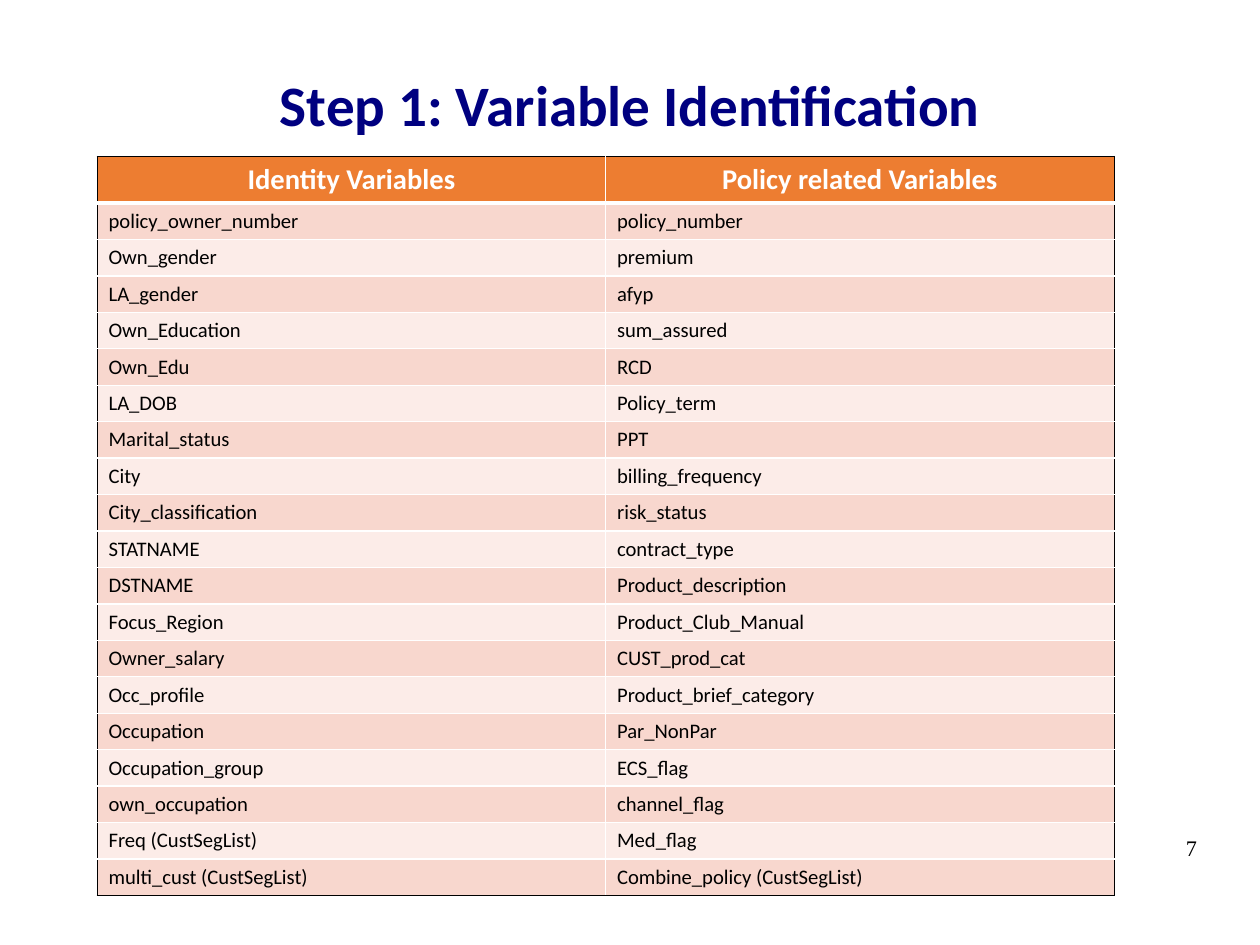
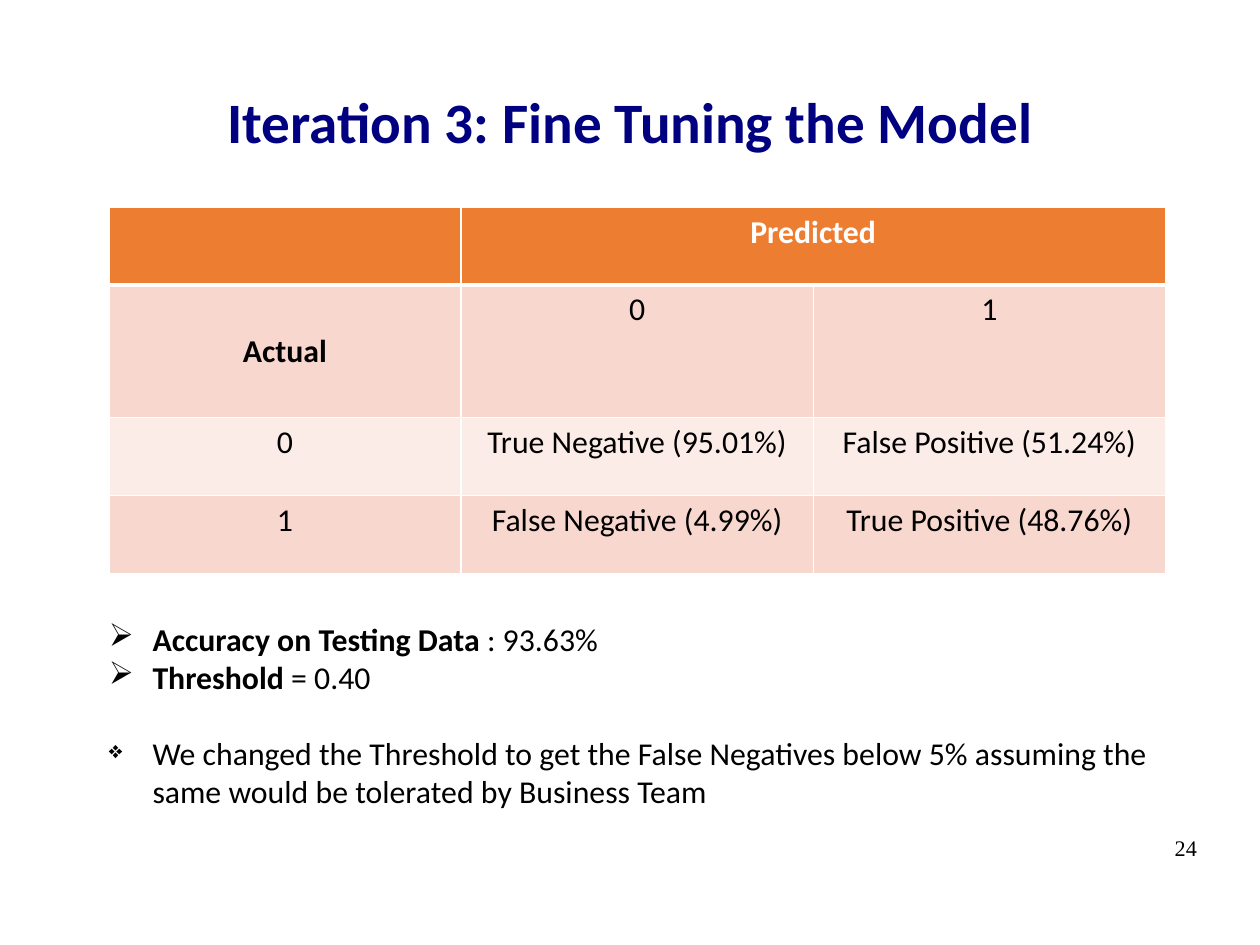
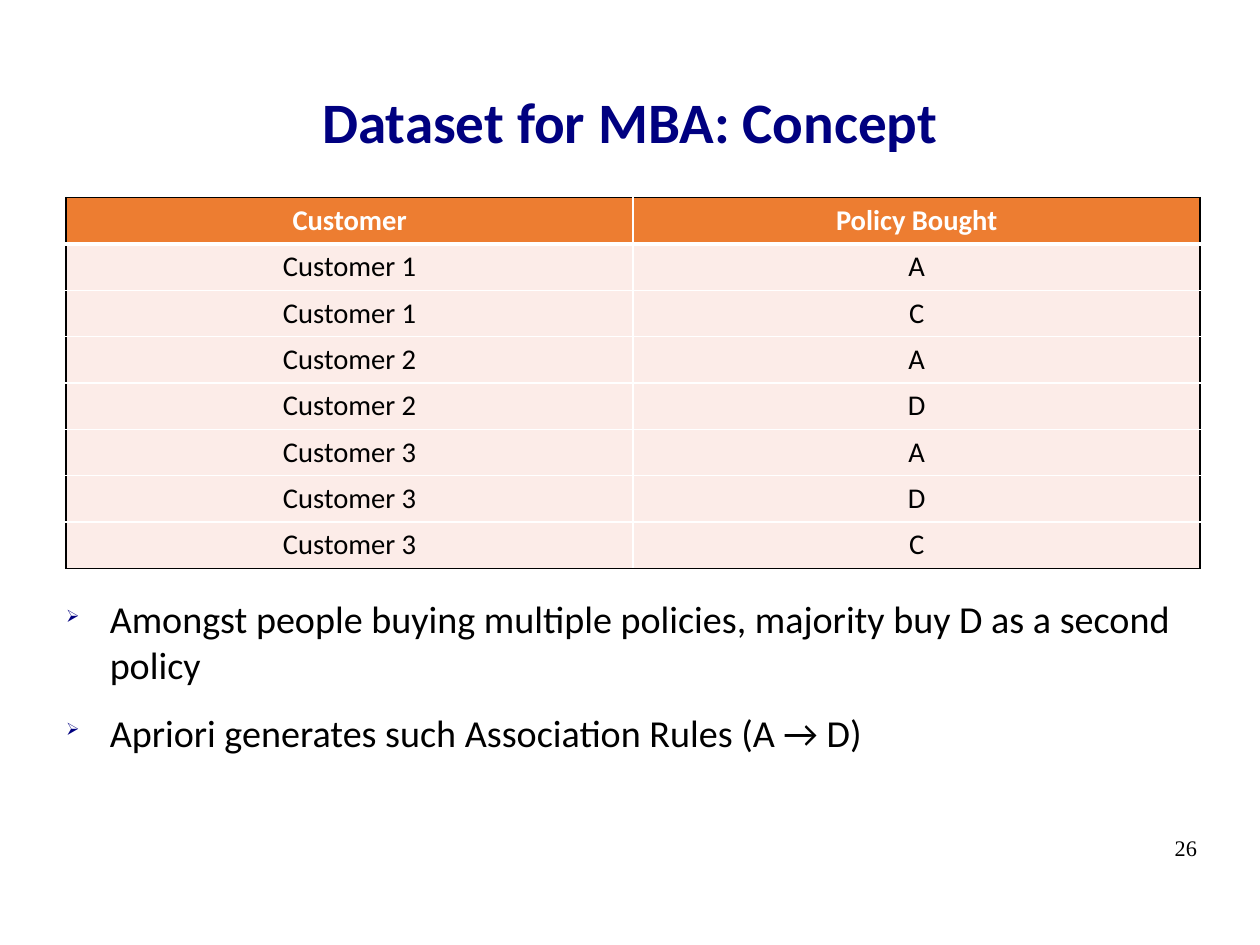
import pptx
import pptx.dml.color
import pptx.enum.text
import pptx.oxml.ns
import pptx.util
from lxml import etree

Cm, Pt = pptx.util.Cm, pptx.util.Pt
ALIGN = pptx.enum.text.PP_ALIGN
ANCHOR = pptx.enum.text.MSO_ANCHOR
qn = pptx.oxml.ns.qn

COLORS = {"title": "000080", "text": "000000", "white": "FFFFFF",
          "header": "ED7D31", "dark": "F8D7CE", "light": "FCECE8"}
FONT, NUMBER_FONT = "Calibri", "Times New Roman"
INDENT = Cm(0.97)

# Content: table cells, then bullets as (character, space before, runs of (text, bold))
VARIABLES = [
    ("Identity Variables", "Policy related Variables"),
    ("policy_owner_number", "policy_number"),
    ("Own_gender", "premium"),
    ("LA_gender", "afyp"),
    ("Own_Education", "sum_assured"),
    ("Own_Edu", "RCD"),
    ("LA_DOB", "Policy_term"),
    ("Marital_status", "PPT"),
    ("City", "billing_frequency"),
    ("City_classification", "risk_status"),
    ("STATNAME", "contract_type"),
    ("DSTNAME", "Product_description"),
    ("Focus_Region", "Product_Club_Manual"),
    ("Owner_salary", "CUST_prod_cat"),
    ("Occ_profile", "Product_brief_category"),
    ("Occupation", "Par_NonPar"),
    ("Occupation_group", "ECS_flag"),
    ("own_occupation", "channel_flag"),
    ("Freq (CustSegList)", "Med_flag"),
    ("multi_cust (CustSegList)", "Combine_policy (CustSegList)"),
]
CONFUSION = [
    ("", "Predicted", ""),
    ("Actual", "0", "1"),
    ("0", "True Negative (95.01%)", "False Positive (51.24%)"),
    ("1", "False Negative (4.99%)", "True Positive (48.76%)"),
]
PURCHASES = [
    ("Customer", "Policy Bought"),
    ("Customer 1", "A"),
    ("Customer 1", "C"),
    ("Customer 2", "A"),
    ("Customer 2", "D"),
    ("Customer 3", "A"),
    ("Customer 3", "D"),
    ("Customer 3", "C"),
]
RESULTS = [
    ("➢", 0, [("Accuracy on Testing Data", True), (" : 93.63%", False)]),
    ("➢", 0, [("Threshold", True), (" = 0.40", False)]),
    ("❖", 24, [("We changed the Threshold to get the False Negatives below 5% "
                "assuming the same would be tolerated by Business Team", False)]),
]
RULES = [
    ("➢", 0, [("Amongst people buying multiple policies, majority buy D "
               "as a second policy", False)]),
    ("➢", 14, [("Apriori generates such Association Rules (A → D)", False)]),
]


def rgb(name):
    return pptx.dml.color.RGBColor.from_string(COLORS[name])


def add_run(p, text, size, color="text", bold=False, font=FONT):
    r = p.add_run()
    r.text = text
    r.font.name, r.font.size, r.font.bold = font, Pt(size), bold
    r.font.color.rgb = rgb(color)


def add_box(s, left, top, width, height):
    tf = s.shapes.add_textbox(Cm(left), Cm(top), Cm(width), Cm(height)).text_frame
    tf.word_wrap = True
    tf.margin_left = tf.margin_right = tf.margin_top = tf.margin_bottom = 0
    return tf


def add_slide(prs, title, number, title_top=0.94):
    s = prs.slides.add_slide(prs.slide_layouts[6])
    tf = add_box(s, 1.4, title_top, 25.2, 3.5)
    tf.vertical_anchor = ANCHOR.MIDDLE
    p = tf.paragraphs[0]
    p.alignment = ALIGN.CENTER
    add_run(p, title, 36, "title", True)
    p = add_box(s, 20.07, 18.54, 6.53, 1.45).paragraphs[0]
    p.alignment = ALIGN.RIGHT
    add_run(p, number, 14, font=NUMBER_FONT)
    return s


def set_border(cell, side, color, width):
    ln = etree.SubElement(cell._tc.get_or_add_tcPr(), qn("a:ln" + side), w=str(Pt(width)))
    fill = etree.SubElement(ln, qn("a:solidFill"))
    etree.SubElement(fill, qn("a:srgbClr"), val=COLORS[color])


def add_table(s, rows, left, top, width, heights, sizes, body_align=ALIGN.CENTER,
              bands=("dark", "light"), frame="text"):
    """heights and sizes: (header row, body rows); frame: colour of the outer border."""
    n_rows, n_cols = len(rows), len(rows[0])
    tbl = s.shapes.add_table(n_rows, n_cols, Cm(left), Cm(top), Cm(width),
                             Cm(heights[0] + heights[1] * (n_rows - 1))).table
    tbl.horz_banding = False
    for col in tbl.columns:
        col.width = Cm(width / n_cols)
    for i, texts in enumerate(rows):
        head = i == 0
        tbl.rows[i].height = Cm(heights[0 if head else 1])
        for j, text in enumerate(texts):
            cell = tbl.cell(i, j)
            edges = {"L": j == 0, "R": j == n_cols - 1, "T": head, "B": i == n_rows - 1}
            for side, outer in edges.items():
                under_head = (side, i) in (("B", 0), ("T", 1))
                set_border(cell, side, frame if outer else "white", 3 if under_head else 1)
            cell.fill.solid()
            cell.fill.fore_color.rgb = rgb("header" if head else bands[(i - 1) % len(bands)])
            if text:
                p = cell.text_frame.paragraphs[0]
                p.alignment = ALIGN.CENTER if head else body_align
                add_run(p, text, sizes[0 if head else 1], "white" if head else "text", head)
    return tbl


def add_bullets(s, items, left, top, width, height, size, scales, color="text"):
    """scales: bullet size in percent of the text, by character."""
    tf = add_box(s, left, top, width, height)
    for i, (char, before, runs) in enumerate(items):
        p = tf.paragraphs[0] if i == 0 else tf.add_paragraph()
        pPr = p._p.get_or_add_pPr()
        pPr.set("marL", str(INDENT))
        pPr.set("indent", str(-INDENT))
        clr = etree.SubElement(pPr, qn("a:buClr"))
        etree.SubElement(clr, qn("a:srgbClr"), val=COLORS[color])
        etree.SubElement(pPr, qn("a:buSzPct"), val=str(scales[char] * 1000))
        etree.SubElement(pPr, qn("a:buChar"), char=char)
        if before:
            p.space_before = Pt(before)
        for text, bold in runs:
            add_run(p, text, size, bold=bold)


def main():
    prs = pptx.Presentation()
    prs.slide_width, prs.slide_height = Cm(28), Cm(21)

    # Variable list
    s = add_slide(prs, "Step 1: Variable Identification", "7", title_top=0.56)
    add_table(s, VARIABLES, 2.16, 3.48, 22.6, (1.03, 0.81), (18, 13), ALIGN.LEFT)

    # Confusion matrix and results
    s = add_slide(prs, "Iteration 3: Fine Tuning the Model", "24")
    tbl = add_table(s, CONFUSION, 2.42, 4.6, 23.48, (1.73, 1.73), (20, 20), frame="white")
    tbl.rows[1].height = Cm(2.95)
    tbl.cell(0, 1).merge(tbl.cell(0, 2))
    actual = tbl.cell(1, 0)
    actual.vertical_anchor = ANCHOR.MIDDLE
    actual.text_frame.paragraphs[0].runs[0].font.bold = True
    add_bullets(s, RESULTS, 2.42, 13.77, 23.24, 6, 20, {"➢": 100, "❖": 75})

    # Purchases and association rules
    s = add_slide(prs, "Dataset for MBA: Concept", "26")
    add_table(s, PURCHASES, 1.47, 4.39, 25.2, (1.03, 1.03), (18, 18), bands=("light",))
    add_bullets(s, RULES, 1.47, 13.23, 25.2, 5.7, 24, {"➢": 45}, "title")

    prs.save("out.pptx")


if __name__ == "__main__":
    main()
